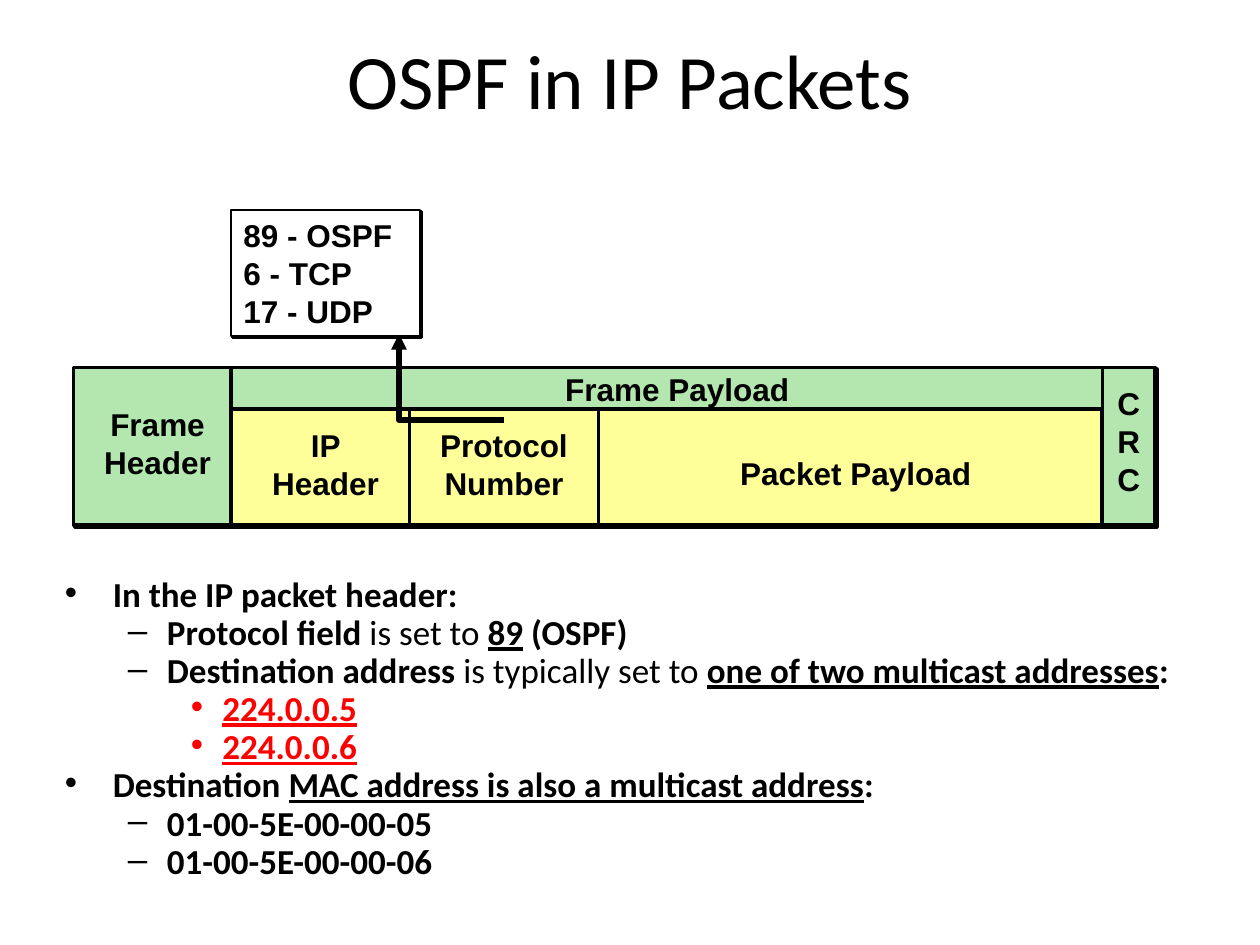
from dataclasses import dataclass
from typing import NamedTuple

from lxml.etree import SubElement
from pptx import Presentation
from pptx.dml.color import RGBColor
from pptx.enum.shapes import MSO_CONNECTOR, MSO_SHAPE
from pptx.enum.text import MSO_ANCHOR as Anchor, PP_ALIGN as Align
from pptx.oxml.ns import qn
from pptx.util import Inches, Pt

BLACK = RGBColor(0, 0, 0)
WHITE = RGBColor(255, 255, 255)
RED = RGBColor(255, 0, 0)
GREEN = RGBColor(0xB4, 0xE6, 0xAF)
YELLOW = RGBColor(0xFF, 0xFF, 0x99)

# The slide is a grid of 120 columns by 90 rows, twelve to the inch.
CELL = Inches(1) // 12
COLS, ROWS = 120, 90

FRAME_LEFT, FRAME_TOP, FRAME_RIGHT, FRAME_BOTTOM = 7, 35, 110, 50
PACKET_LEFT, PACKET_TOP, PACKET_RIGHT = 22, 39, 105


class Box(NamedTuple):
    left: float
    top: float
    width: float
    height: float


class Run(NamedTuple):
    text: str
    bold: bool = True
    underline: bool = False


class Level(NamedTuple):
    margin: float
    hanging: float
    bullet: str
    color: RGBColor


@dataclass
class Panel:
    box: Box
    fill: RGBColor
    line_width: float
    shadow: bool = False


class Label(NamedTuple):
    box: Box
    lines: list[str]


class Divider(NamedTuple):
    col: float
    top: float


FRAME = Panel(Box(FRAME_LEFT, FRAME_TOP, FRAME_RIGHT - FRAME_LEFT,
                  FRAME_BOTTOM - FRAME_TOP), GREEN, 2.25, shadow=True)
PACKET = Panel(Box(PACKET_LEFT, PACKET_TOP, PACKET_RIGHT - PACKET_LEFT,
                   FRAME_BOTTOM - PACKET_TOP), YELLOW, 2.25)
PROTOCOLS = Panel(Box(PACKET_LEFT, 20, 18, 12), WHITE, 1.5, shadow=True)

DIVIDERS = [Divider(57, PACKET_TOP), Divider(PACKET_RIGHT, FRAME_TOP),
            Divider(PACKET_TOP, PACKET_TOP), Divider(PACKET_LEFT, FRAME_TOP)]

LABELS = [
    Label(Box(23, 40, 16, 8.4), ["IP Header"]),
    Label(Box(40, 40, 16, 8.4), ["Protocol Number"]),
    Label(Box(FRAME_LEFT, 38, 16, 8.4), ["Frame Header"]),
    Label(Box(PACKET_RIGHT, 36, 5, 12), ["C", "R", "C"]),
    Label(Box(63, 42.6, 37, 4.8), ["Packet Payload"]),
    Label(Box(46, 34.6, 37, 4.8), ["Frame Payload"]),
]
ARROW = [(48, 40), (38, 40), (38, 31.8)]

LEVELS = [Level(0.38, 0.38, "•", BLACK), Level(0.81, 0.31, "–", BLACK),
          Level(1.25, 0.25, "•", RED)]
NOTES = [
    (0, [Run("In the IP packet header:")]),
    (1, [Run("Protocol field"), Run(" is set to ", bold=False),
         Run("89", underline=True), Run(" (OSPF)")]),
    (1, [Run("Destination address"), Run(" is typically set to ", bold=False),
         Run("one of two multicast addresses", underline=True), Run(":")]),
    (2, [Run("224.0.0.5", underline=True)]),
    (2, [Run("224.0.0.6", underline=True)]),
    (0, [Run("Destination "),
         Run("MAC address is also a multicast address", underline=True), Run(":")]),
    (1, [Run("01-00-5E-00-00-05")]),
    (1, [Run("01-00-5E-00-00-06")]),
]


def cells(count: float) -> int:
    return round(count * CELL)


def set_font(paragraph, name: str, size: float, color=BLACK, bold=True) -> None:
    font = paragraph.font
    font.name, font.size, font.bold = name, Pt(size), bold
    font.color.rgb = color


def write_lines(frame, lines: list[str], align, name="Arial", size=18, bold=True) -> None:
    frame.word_wrap = True
    frame.vertical_anchor = Anchor.MIDDLE
    frame.text = "\n".join(lines)
    for paragraph in frame.paragraphs:
        paragraph.alignment = align
        set_font(paragraph, name, size, bold=bold)


def add_text_frame(slide, box: Box):
    return slide.shapes.add_textbox(*map(cells, box)).text_frame


def add_hard_shadow(shape) -> None:
    """Give the shape a sharp black shadow to the lower right."""
    effects = shape._element.spPr.find(qn("a:effectLst"))
    shadow = SubElement(effects, qn("a:outerShdw"), dist=str(Pt(1.4)),
                        dir="2700000", algn="ctr", rotWithShape="0")
    SubElement(shadow, qn("a:srgbClr"), val=str(BLACK))


def add_panel(slide, panel: Panel):
    shape = slide.shapes.add_shape(MSO_SHAPE.RECTANGLE, *map(cells, panel.box))
    shape.fill.solid()
    shape.fill.fore_color.rgb = panel.fill
    shape.line.color.rgb = BLACK
    shape.line.width = Pt(panel.line_width)
    shape.shadow.inherit = False
    if panel.shadow:
        add_hard_shadow(shape)
    return shape


def add_divider(slide, divider: Divider) -> None:
    line = slide.shapes.add_connector(
        MSO_CONNECTOR.STRAIGHT, cells(divider.col), cells(divider.top),
        cells(divider.col), cells(FRAME_BOTTOM))
    line.line.color.rgb = BLACK
    line.line.width = Pt(2.25)
    SubElement(line._element.spPr, qn("a:effectLst"))


def add_bent_arrow(slide, points: list[tuple[float, float]]) -> None:
    start, *rest = [(cells(x), cells(y)) for x, y in points]
    builder = slide.shapes.build_freeform(*start)
    builder.add_line_segments(rest, close=False)
    arrow = builder.convert_to_shape()
    arrow.fill.background()
    arrow.line.color.rgb = BLACK
    arrow.line.width = Pt(3)
    arrow.shadow.inherit = False
    SubElement(arrow.line._get_or_add_ln(), qn("a:tailEnd"), type="triangle")


def add_bullet(paragraph, level: Level) -> None:
    props = paragraph._p.get_or_add_pPr()
    props.set("marL", str(Inches(level.margin)))
    props.set("indent", str(-Inches(level.hanging)))
    color = SubElement(props, qn("a:buClr"))
    SubElement(color, qn("a:srgbClr"), val=str(level.color))
    SubElement(props, qn("a:buFont"), typeface="Arial")
    SubElement(props, qn("a:buChar"), char=level.bullet)


def add_notes(slide, box: Box) -> None:
    frame = add_text_frame(slide, box)
    frame.word_wrap = True
    for index, (depth, runs) in enumerate(NOTES):
        paragraph = frame.add_paragraph() if index else frame.paragraphs[0]
        paragraph.level = depth
        paragraph.line_spacing = 0.7
        paragraph.space_before = Pt(5 if index else 0)
        add_bullet(paragraph, LEVELS[depth])
        set_font(paragraph, "Calibri", 20, LEVELS[depth].color)
        for part in runs:
            run = paragraph.add_run()
            run.text = part.text
            run.font.bold = part.bold
            run.font.underline = part.underline


def main() -> None:
    deck = Presentation()
    deck.slide_width, deck.slide_height = cells(COLS), cells(ROWS)
    slide = deck.slides.add_slide(deck.slide_layouts[6])

    write_lines(add_text_frame(slide, Box(6, 3.6, 108, 7.8)), ["OSPF in IP Packets"],
                Align.CENTER, "Calibri", 44, bold=False)
    add_panel(slide, FRAME)
    add_panel(slide, PACKET)
    for divider in DIVIDERS:
        add_divider(slide, divider)
    for label in LABELS:
        write_lines(add_text_frame(slide, label.box), label.lines, Align.CENTER)
    add_bent_arrow(slide, ARROW)
    write_lines(add_panel(slide, PROTOCOLS).text_frame,
                ["89 - OSPF", "6 - TCP", "17 - UDP"], Align.LEFT)
    add_notes(slide, Box(5, 55, 112, 30))
    deck.save("out.pptx")


if __name__ == "__main__":
    main()
